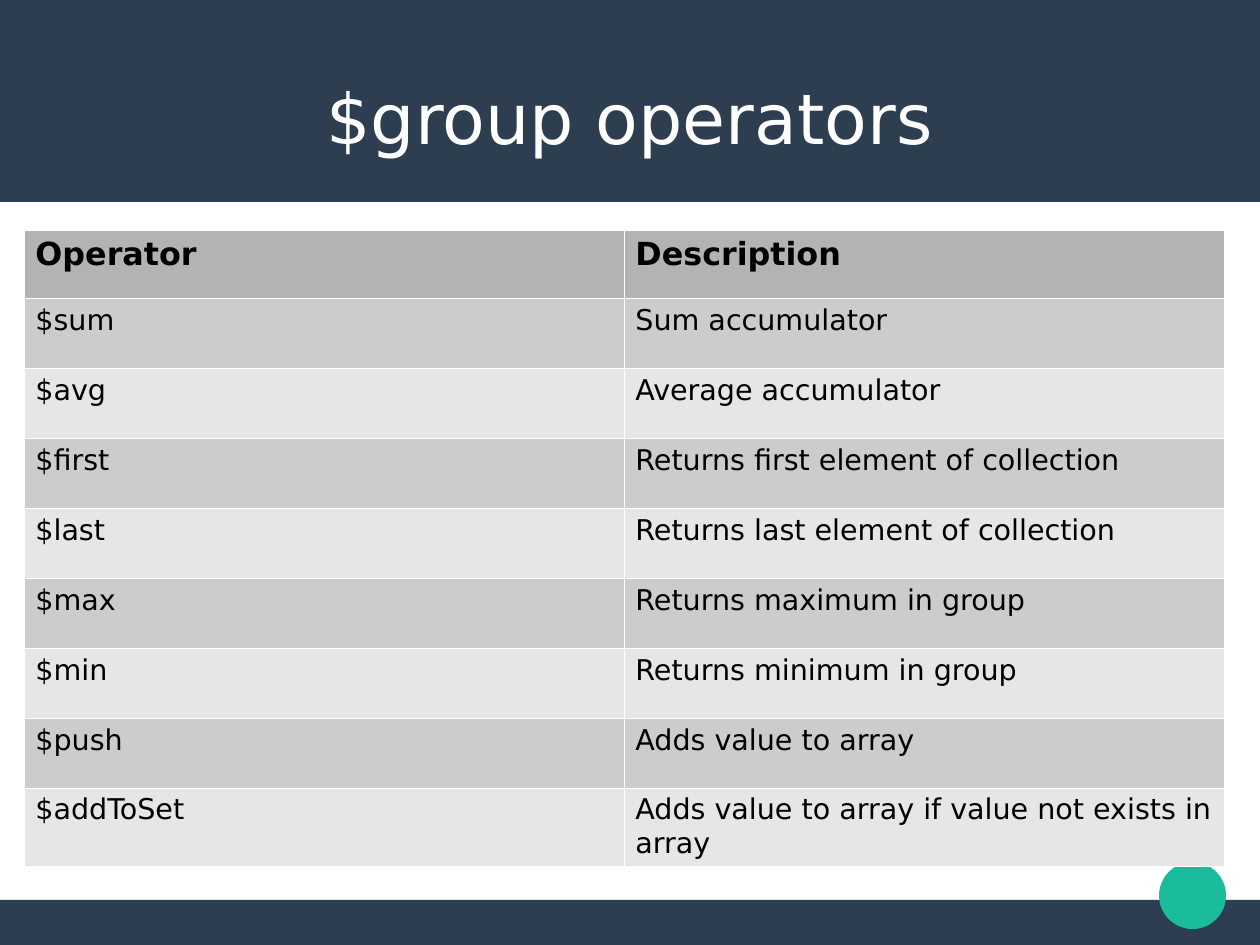
import pptx
import pptx.util
import pptx.dml.color
import pptx.enum.shapes
import pptx.enum.text
import pptx.oxml
import pptx.oxml.ns

# Content
TITLE = "$group operators"
ROWS = [
    ("Operator", "Description"),
    ("$sum", "Sum accumulator"),
    ("$avg", "Average accumulator"),
    ("$first", "Returns first element of collection"),
    ("$last", "Returns last element of collection"),
    ("$max", "Returns maximum in group"),
    ("$min", "Returns minimum in group"),
    ("$push", "Adds value to array"),
    ("$addToSet", "Adds value to array if value not exists in array"),
]
COLORS = {"navy": "2C3E50", "green": "1ABC9C", "white": "FFFFFF", "black": "000000",
          "header": "B3B3B3", "odd": "CCCCCC", "even": "E6E6E6"}
FONT = "DejaVu Sans"

# Layout in pixels: left, top, width, height
WIDTH, HEIGHT = 1260, 945
SHAPES = pptx.enum.shapes.MSO_SHAPE
DECOR = [
    (SHAPES.RECTANGLE, "navy", (0, 900, WIDTH, 45)),
    (SHAPES.RECTANGLE, "navy", (0, 0, WIDTH, 202)),
    (SHAPES.OVAL, "green", (1159, 862, 67, 67)),
]
TITLE_BOX = (63, 38, 1134, 158)
TABLE_LEFT, TABLE_TOP, COLUMN_WIDTH = 24, 230, 600
ROW_HEIGHTS = [68] + [70] * (len(ROWS) - 2) + [78]
BORDER_WIDTH = 0.06


def px(n):
    return pptx.util.Emu(n * 8000)


def rgb(name):
    return pptx.dml.color.RGBColor.from_string(COLORS[name])


def set_font(p, size, color, bold=False):
    p.font.name, p.font.size, p.font.bold = FONT, pptx.util.Pt(size), bold
    p.font.color.rgb = rgb(color)


def add_borders(cell):
    tc_pr = cell._tc.get_or_add_tcPr()
    for side in ("lnL", "lnR", "lnT", "lnB"):
        tc_pr.append(pptx.oxml.parse_xml(
            f'<a:{side} {pptx.oxml.ns.nsdecls("a")} w="{pptx.util.Pt(BORDER_WIDTH)}">'
            f'<a:solidFill><a:srgbClr val="{COLORS["white"]}"/></a:solidFill></a:{side}>'))


prs = pptx.Presentation()
prs.slide_width, prs.slide_height = px(WIDTH), px(HEIGHT)
s = prs.slides.add_slide(prs.slide_layouts[5])

# Bands and circle
for kind, color, box in DECOR:
    sp = s.shapes.add_shape(kind, *map(px, box))
    sp.shadow.inherit = False
    sp.fill.solid()
    sp.fill.fore_color.rgb = rgb(color)
    sp.line.fill.background()

# Title, brought in front of the top band
title = s.shapes.title
title._element.getparent().append(title._element)
title.left, title.top, title.width, title.height = map(px, TITLE_BOX)
tf = title.text_frame
tf.text = TITLE
tf.margin_left = tf.margin_right = tf.margin_top = tf.margin_bottom = 0
tf.vertical_anchor = pptx.enum.text.MSO_ANCHOR.MIDDLE
p = tf.paragraphs[0]
p.alignment = pptx.enum.text.PP_ALIGN.CENTER
set_font(p, 44, "white")

# Operator table
table = s.shapes.add_table(len(ROWS), 2, px(TABLE_LEFT), px(TABLE_TOP),
                           px(2 * COLUMN_WIDTH), px(sum(ROW_HEIGHTS))).table
for column in table.columns:
    column.width = px(COLUMN_WIDTH)
for i, (texts, height) in enumerate(zip(ROWS, ROW_HEIGHTS)):
    table.rows[i].height = px(height)
    is_header = i == 0
    fill = "header" if is_header else "odd" if i % 2 else "even"
    for cell, text in zip(table.rows[i].cells, texts):
        cell.text = text
        set_font(cell.text_frame.paragraphs[0], 20 if is_header else 18, "black", is_header)
        add_borders(cell)
        cell.fill.solid()
        cell.fill.fore_color.rgb = rgb(fill)

prs.save("out.pptx")
